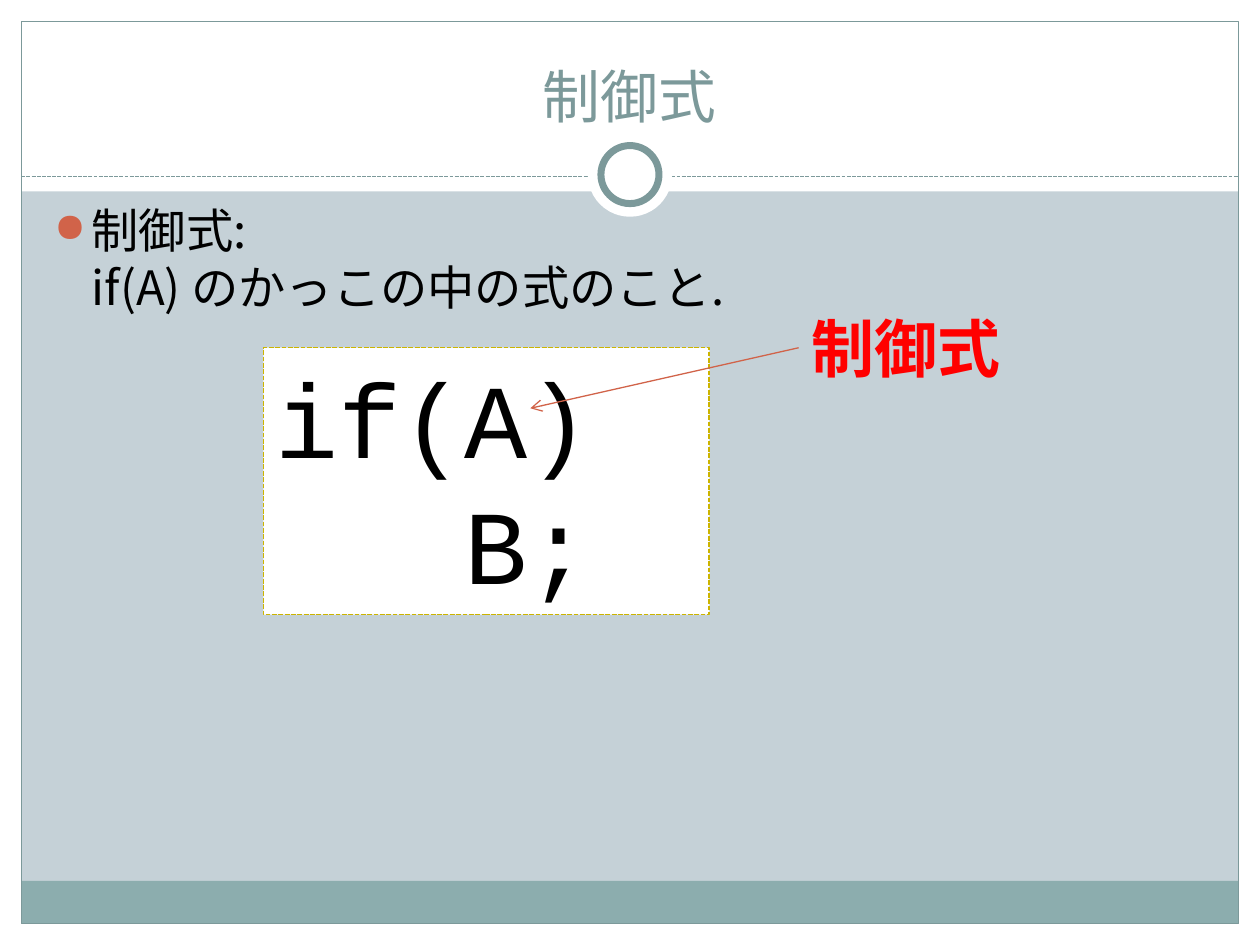
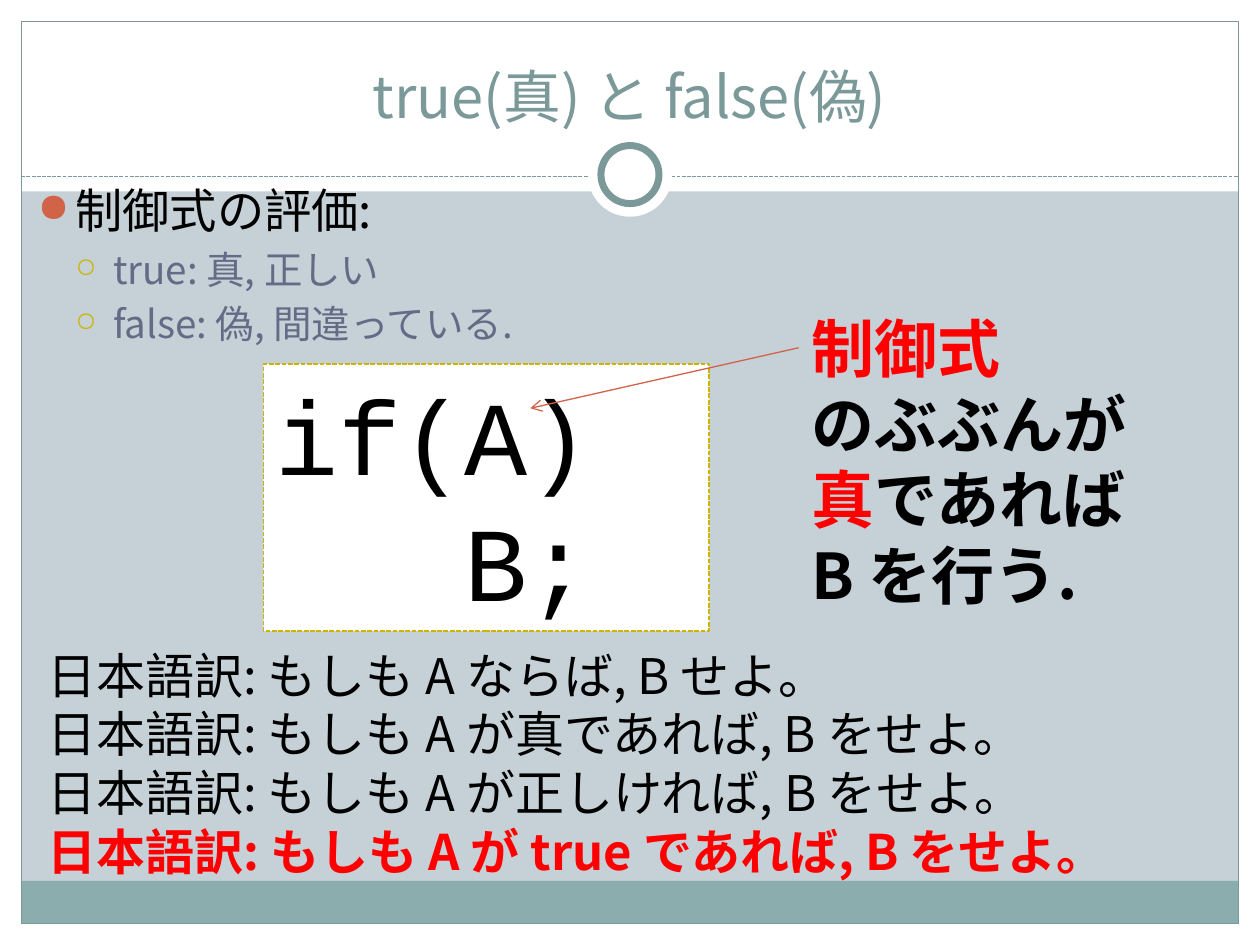
from pptx import Presentation
from pptx.dml.color import RGBColor
from pptx.enum.dml import MSO_LINE
from pptx.enum.shapes import MSO_CONNECTOR, MSO_SHAPE
from pptx.enum.text import MSO_ANCHOR, PP_ALIGN
from pptx.oxml.ns import qn
from pptx.util import Cm, Pt
from lxml.etree import SubElement

W, H, EDGE = 25.4, 19.05, 0.43
RULE_Y, HEADER_H, BAND_H = 3.56, 3.86, 0.86
WHITE, BLACK, RED = "FFFFFF", "000000", "FF0000"
BACK, TEAL, BAND = "C5D1D7", "7C999A", "8CADAE"
ORANGE, YELLOW, SLATE = "D16349", "CCB400", "646B86"
SANS, MONO = "Noto Sans CJK JP", "Courier New"
LEVELS = [("●", ORANGE, 85, 27, BLACK), ("○", YELLOW, 70, 22, SLATE)]
INDENT = 0.76


def rgb(value):
    return RGBColor.from_string(value)


def set_line(line, color, width, dashed=False):
    line.color.rgb = rgb(color)
    line.width = Pt(width)
    if dashed:
        line.dash_style = MSO_LINE.SQUARE_DOT


def add_box(s, kind, x, y, w, h, fill=None, line=None):
    sp = s.shapes.add_shape(kind, Cm(x), Cm(y), Cm(w), Cm(h))
    sp.shadow.inherit = False
    if fill:
        sp.fill.solid()
        sp.fill.fore_color.rgb = rgb(fill)
    else:
        sp.fill.background()
    if line:
        set_line(sp.line, *line)
    else:
        sp.line.fill.background()
    return sp


def add_line(s, x1, y1, x2, y2, color, dashed=False, arrow=False):
    c = s.shapes.add_connector(MSO_CONNECTOR.STRAIGHT, Cm(x1), Cm(y1), Cm(x2), Cm(y2))
    set_line(c.line, color, 0.75, dashed)
    if arrow:
        SubElement(c.line._get_or_add_ln(), qn("a:tailEnd"), type="arrow")
    SubElement(c._element.spPr, qn("a:effectLst"))


def add_text_box(s, x, y, w, h, wrap=True):
    tf = s.shapes.add_textbox(Cm(x), Cm(y), Cm(w), Cm(h)).text_frame
    tf.word_wrap = wrap
    return tf


def add_run(p, text, size, color=BLACK, bold=False, font=SANS):
    r = p.add_run()
    r.text = text
    r.font.size, r.font.bold, r.font.name = Pt(size), bold, font
    r.font.color.rgb = rgb(color)
    SubElement(r._r.get_or_add_rPr(), qn("a:ea"), typeface=font)


def paragraphs(tf, items):
    for i, item in enumerate(items):
        yield (tf.add_paragraph() if i else tf.paragraphs[0]), item


def add_rich_lines(tf, lines, size, bold=False):
    for p, runs in paragraphs(tf, lines):
        for text, color in runs:
            add_run(p, text, size, color, bold or len(runs) == 1 and color == RED)


def frame(s):
    rect, oval = MSO_SHAPE.RECTANGLE, MSO_SHAPE.OVAL
    s.background.fill.solid()
    s.background.fill.fore_color.rgb = rgb(BACK)
    inner_w, inner_h = W - 2 * EDGE, H - 2 * EDGE
    for box in [(0, H - EDGE, W, EDGE), (0, 0, W, HEADER_H),
                (0, 0, EDGE, H), (W - EDGE, 0, EDGE, H)]:
        add_box(s, rect, *box, fill=WHITE)
    add_box(s, rect, EDGE, H - EDGE - BAND_H, inner_w, BAND_H, BAND)
    add_box(s, rect, EDGE, EDGE, inner_w, inner_h, line=(TEAL, 0.75))
    add_line(s, EDGE, RULE_Y, W - EDGE, RULE_Y, TEAL, dashed=True)
    for d, line in [(1.7, None), (1.17, (TEAL, 4))]:
        add_box(s, oval, (W - d) / 2, 3.52 - d / 2, d, d, WHITE, line)


def title(s, text):
    tf = add_text_box(s, 0.84, 0.64, 23.7, 2.11)
    tf.vertical_anchor = MSO_ANCHOR.BOTTOM
    p = tf.paragraphs[0]
    p.alignment = PP_ALIGN.CENTER
    add_run(p, text, 33, TEAL)


def bullets(s, x, y, w, h, items):
    tf = add_text_box(s, x, y, w, h)
    for p, (level, text) in paragraphs(tf, items):
        mark, mark_color, mark_size, size, color = LEVELS[level]
        p.level = level
        p.space_before = Pt(size * 0.2)
        pr = p._p.get_or_add_pPr()
        pr.set("marL", str(Cm(INDENT * (level + 1))))
        pr.set("indent", str(-Cm(INDENT)))
        SubElement(SubElement(pr, qn("a:buClr")), qn("a:srgbClr"), val=mark_color)
        SubElement(pr, qn("a:buSzPct"), val=str(mark_size * 1000))
        SubElement(pr, qn("a:buChar"), char=mark)
        for i, part in enumerate(text.split("\n")):
            if i:
                p.add_line_break()
            add_run(p, part, size, color)


def code_box(s, x, y, w=8.99, h=5.38):
    sp = add_box(s, MSO_SHAPE.RECTANGLE, x, y, w, h, WHITE, (YELLOW, 0.9, True))
    tf = sp.text_frame
    tf.word_wrap = True
    tf.vertical_anchor = MSO_ANCHOR.TOP
    for p, (text, indent) in paragraphs(tf, [("if(A)", 0), ("B;", 3.81)]):
        p.alignment = PP_ALIGN.LEFT
        p._p.get_or_add_pPr().set("marL", str(Cm(indent)))
        add_run(p, text, 60, font=MONO)


def callout(s, x, y, w, h, lines):
    add_line(s, x, y + 0.89, x - 5.41, y + 2.11, ORANGE, arrow=True)
    add_rich_lines(add_text_box(s, x, y, w, h, False), lines, 36, bold=True)


def translations(s, x, y, w, h, items):
    tf = add_text_box(s, x, y, w, h, False)
    add_rich_lines(tf, [[("日本語訳: もしも " + text, color)] for text, color in items], 28)


def new_slide(prs, heading):
    s = prs.slides.add_slide(prs.slide_layouts[6])
    frame(s)
    title(s, heading)
    return s


def control_slide(prs):
    s = new_slide(prs, "制御式")
    bullets(s, 0.84, 3.94, 23.62, 12.7,
            [(0, "制御式:\nif(A) のかっこの中の式のこと.")])
    code_box(s, 5.31, 7.01)
    callout(s, 16.1, 6.12, 4.37, 1.8, [[("制御式", RED)]])


def truth_slide(prs):
    s = new_slide(prs, "true(真) と false(偽)")
    bullets(s, 0.51, 3.53, 13.41, 3.81,
            [(0, "制御式の評価:"), (1, "true: 真, 正しい"), (1, "false: 偽, 間違っている.")])
    code_box(s, 5.31, 7.34)
    callout(s, 16.1, 6.12, 6.93, 6.4,
            [[("制御式", RED)], [("のぶぶんが", BLACK)],
             [("真", RED), ("であれば", BLACK)], [("B を行う.", BLACK)]])
    translations(s, 0.71, 12.88, 23.85, 5.05,
                 [("A ならば, B せよ。", BLACK), ("A が真であれば, B をせよ。", BLACK),
                  ("A が正しければ, B をせよ。", BLACK), ("A が true であれば, B をせよ。", RED)])


prs = Presentation()
prs.slide_width, prs.slide_height = Cm(W), Cm(H)
control_slide(prs)
truth_slide(prs)
prs.save("out.pptx")
